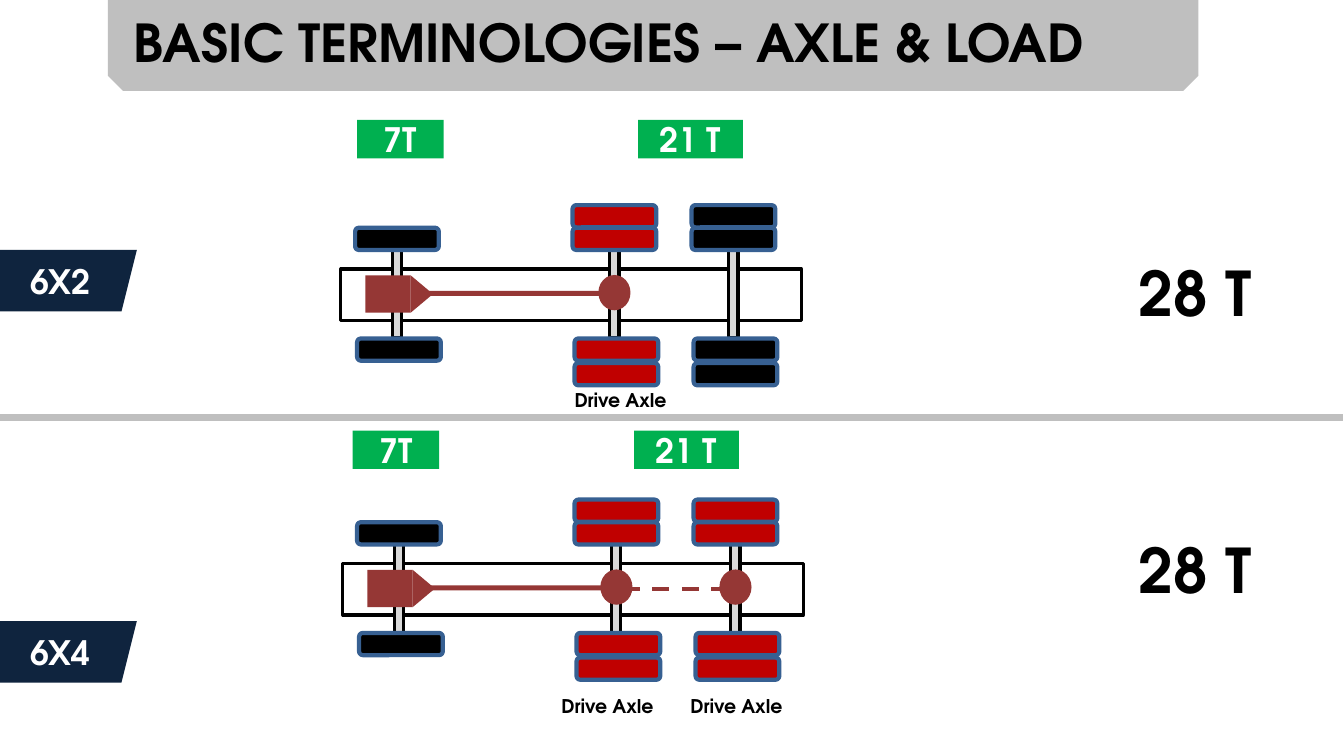
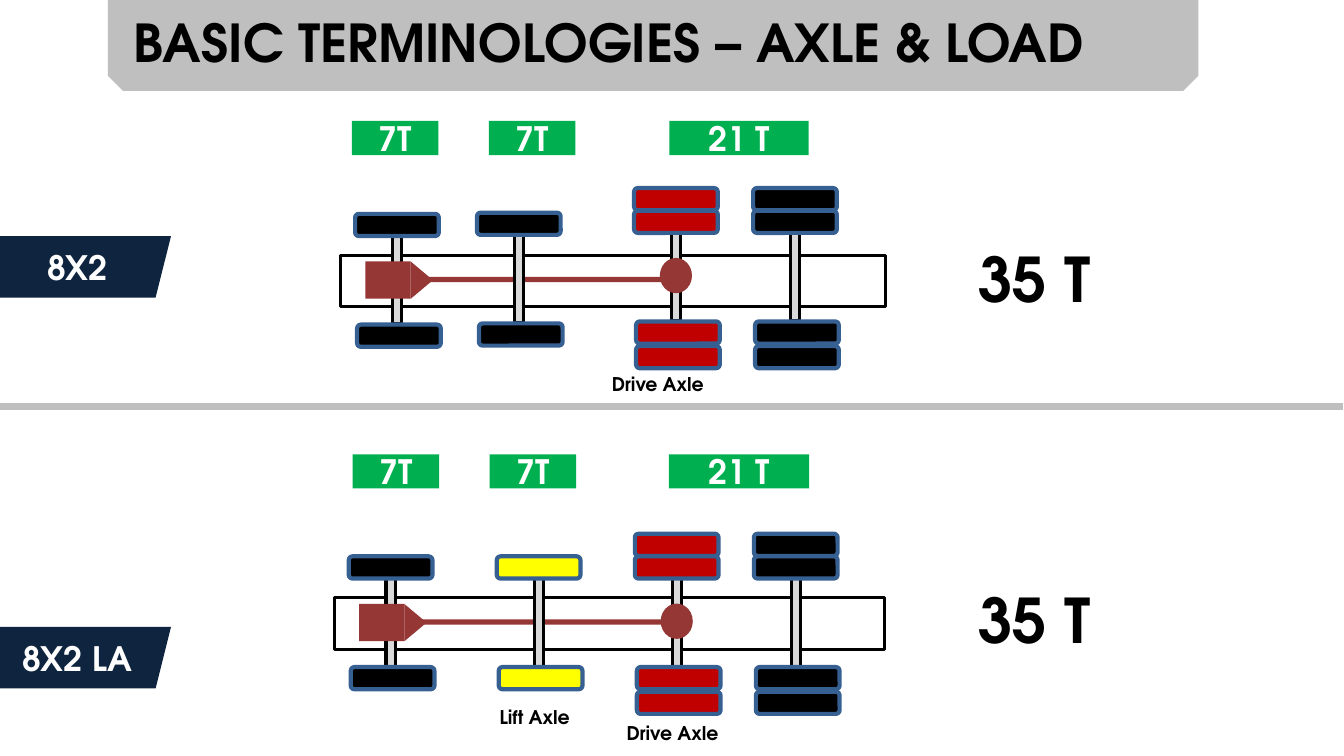
from dataclasses import dataclass

from lxml import etree
from pptx import Presentation
from pptx.dml.color import RGBColor
from pptx.enum.dml import MSO_LINE
from pptx.enum.shapes import MSO_CONNECTOR, MSO_SHAPE
from pptx.enum.text import MSO_ANCHOR, MSO_AUTO_SIZE, PP_ALIGN
from pptx.oxml.ns import qn
from pptx.util import Cm, Pt

RECTANGLE = MSO_SHAPE.RECTANGLE
ROUNDED = MSO_SHAPE.ROUNDED_RECTANGLE
PARALLELOGRAM = MSO_SHAPE.PARALLELOGRAM
TRIANGLE = MSO_SHAPE.ISOSCELES_TRIANGLE
OVAL = MSO_SHAPE.OVAL
SNIPPED = MSO_SHAPE.SNIP_2_SAME_RECTANGLE
STRAIGHT = MSO_CONNECTOR.STRAIGHT
DASH = MSO_LINE.DASH
CENTER = PP_ALIGN.CENTER
LEFT = PP_ALIGN.LEFT
MIDDLE = MSO_ANCHOR.MIDDLE
FIT_SHAPE = MSO_AUTO_SIZE.SHAPE_TO_FIT_TEXT

FONT = "TeX Gyre Adventor"
COLORS = {
    "black": "000000",
    "white": "FFFFFF",
    "band": "BFBFBF",
    "badge": "0F243E",
    "load": "00B050",
    "axle": "D9D9D9",
    "driveline": "953735",
    "wheel_edge": "376092",
    "driven": "C00000",
    "lift": "FFFF00",
}

SLIDE_WIDTH, SLIDE_HEIGHT = 33.87, 19.05
TITLE = "BASIC TERMINOLOGIES – AXLE & LOAD"
AXLE_WIDTH, AXLE_HEIGHT = 0.23, 2.21
WHEEL_WIDTH, WHEEL_HEIGHT = 2.11, 0.56
HUB_WIDTH, HUB_HEIGHT = 0.81, 0.89
CHASSIS_HEIGHT = 1.3
FRONT_AXLE = 1.3
REAR_SPACING = 3
SHAFT_START = 2.21


@dataclass
class Axle:
    """An axle at a distance from the chassis front, moved down by shift."""
    left: float
    wheels: str = "black"
    twin: bool = False
    shift: float = 0

    @property
    def driven(self):
        return self.wheels == "driven"


@dataclass
class Truck:
    """One truck layout; lengths are cm, offsets start at the chassis corner."""
    name: str
    total: str
    left: float
    top: float
    width: float
    axles: list
    loads: list
    load_top: float
    load_height: float
    badge_top: float
    total_top: float
    captions: list


@dataclass
class Page:
    badge_width: float
    total_left: float
    divider_top: float
    trucks: list


def rear_pair(left, second="black", shift=0):
    return [Axle(left, "driven", True, shift),
            Axle(left + REAR_SPACING, second, True, shift)]


PAGES = [
    Page(3.86, 28.45, 10.39, [
        Truck("6X2", "28 T", 8.59, 6.78, 11.61,
              [Axle(FRONT_AXLE), *rear_pair(6.78)],
              [("7T", 0.41, 2.18), ("21 T", 7.49, 2.64)], -3.76, 0.97,
              -0.48, -0.48, [("Drive Axle", 5.64, 2.9, 2.9)]),
        Truck("6X4", "28 T", 8.64, 14.2, 11.61,
              [Axle(FRONT_AXLE), *rear_pair(6.78, "driven")],
              [("7T", 0.25, 2.18), ("21 T", 7.34, 2.64)], -3.35, 0.97,
              1.45, -0.91, [("Drive Axle", 5.26, 3.18, 2.9),
                            ("Drive Axle", 8.51, 3.18, 2.9)]),
    ]),
    Page(4.72, 24.41, 10.11, [
        Truck("8X2", "35 T", 8.59, 6.43, 13.72,
              [Axle(FRONT_AXLE), Axle(4.37, shift=-0.03),
               *rear_pair(8.33, shift=-0.08)],
              [("7T", 0.28, 2.18), ("7T", 3.73, 2.18), ("21 T", 8.28, 3.51)],
              -3.38, 0.86, -0.48, -0.48, [("Drive Axle", 6.58, 2.84, 2.9)]),
        Truck("8X2 LA", "35 T", 8.43, 15.06, 13.87,
              [Axle(FRONT_AXLE), Axle(5.03, "lift"), *rear_pair(8.51)],
              [("7T", 0.46, 2.18), ("7T", 3.91, 2.18), ("21 T", 8.43, 3.53)],
              -3.61, 0.86, 0.74, -0.51, [("Lift Axle", 3.91, 2.59, 2.31),
                                         ("Drive Axle", 7.11, 3, 2.9)]),
    ]),
]


def color(name):
    return RGBColor.from_string(COLORS[name])


def write(shape, text, size, ink="black", align=LEFT, anchor=None, wrap=False):
    frame = shape.text_frame
    frame.word_wrap = wrap
    if anchor is not None:
        frame.vertical_anchor = anchor
    paragraph = frame.paragraphs[0]
    paragraph.alignment = align
    run = paragraph.add_run()
    run.text = text
    run.font.name = FONT
    run.font.size = Pt(size)
    run.font.bold = True
    run.font.color.rgb = color(ink)


def add_box(slide, kind, left, top, width, height, fill=None, line=None, weight=2.25):
    shape = slide.shapes.add_shape(kind, Cm(left), Cm(top), Cm(width), Cm(height))
    shape.shadow.inherit = False
    if fill:
        shape.fill.solid()
        shape.fill.fore_color.rgb = color(fill)
    else:
        shape.fill.background()
    if line:
        shape.line.color.rgb = color(line)
        shape.line.width = Pt(weight)
    else:
        shape.line.fill.background()
    return shape


def add_label(slide, text, left, top, width, height, **text_format):
    box = slide.shapes.add_textbox(Cm(left), Cm(top), Cm(width), Cm(height))
    write(box, text, **text_format)
    box.text_frame.auto_size = FIT_SHAPE


def add_tag(slide, kind, text, left, top, width, height, fill):
    tag = add_box(slide, kind, left, top, width, height, fill)
    write(tag, text, 24, ink="white", align=CENTER, anchor=MIDDLE)


def draw_title(slide):
    band = add_box(slide, SNIPPED, 2.72, 0, 27.48, 2.29, "band")
    band.rotation = 180
    add_label(slide, TITLE, 3.12, 0.13, 29.06, 1.85, size=37.3, wrap=True)


def draw_axle(slide, left, top, axle):
    """Draw the beam, the wheels on both sides and the hub of a driven axle."""
    left += axle.left
    top += axle.shift
    add_box(slide, RECTANGLE, left, top - 0.48, AXLE_WIDTH, AXLE_HEIGHT,
            "axle", "black")
    wheels = [(-0.94, -1.04), (-0.89, 1.75)]
    if axle.twin:
        wheels += [(-0.94, -1.61), (-0.89, 2.37)]
    for across, down in wheels:
        add_box(slide, ROUNDED, left + across, top + down, WHEEL_WIDTH,
                WHEEL_HEIGHT, axle.wheels, "wheel_edge", 3)
    if axle.driven:
        add_box(slide, OVAL, left - 0.29, top + 0.15, HUB_WIDTH, HUB_HEIGHT,
                "driveline")


def draw_engine(slide, left, top):
    add_box(slide, RECTANGLE, left + 0.62, top + 0.16, 1.14, 0.94, "driveline")
    nose = add_box(slide, TRIANGLE, left + 1.57, top + 0.35, 0.94, 0.56, "driveline")
    nose.rotation = 90


def draw_dashed_link(slide, start, end, height):
    link = slide.shapes.add_connector(STRAIGHT, Cm(start), Cm(height),
                                      Cm(end), Cm(height))
    link.line.color.rgb = color("driveline")
    link.line.width = Pt(3)
    link.line.dash_style = DASH
    etree.SubElement(link._element.spPr, qn("a:effectLst"))


def draw_chassis(slide, truck):
    left, top = truck.left, truck.top
    add_box(slide, RECTANGLE, left, top, truck.width, CHASSIS_HEIGHT, line="black")
    front, *others = truck.axles
    draw_axle(slide, left, top, front)
    draw_engine(slide, left, top)
    driven = [axle for axle in others if axle.driven]
    add_box(slide, RECTANGLE, left + SHAFT_START, top + 0.55,
            driven[0].left - SHAFT_START + 0.1, 0.13, "driveline")
    for axle in others:
        draw_axle(slide, left, top, axle)
    for first, second in zip(driven, driven[1:]):
        draw_dashed_link(slide, left + first.left + 0.28,
                         left + second.left + 0.15, top + 0.64)


def draw_truck(slide, page, truck):
    left, top = truck.left, truck.top
    add_tag(slide, PARALLELOGRAM, truck.name, -0.41, top + truck.badge_top,
            page.badge_width, 1.55, "badge")
    draw_chassis(slide, truck)
    for text, across, width in truck.loads:
        add_tag(slide, RECTANGLE, text, left + across, top + truck.load_top,
                width, truck.load_height, "load")
    for text, across, down, width in truck.captions:
        add_label(slide, text, left + across, top + down, width, 0.84, size=13.5)
    add_label(slide, truck.total, page.total_left, top + truck.total_top,
              3.35, 2.13, size=44)


def build_slide(presentation, page):
    slide = presentation.slides.add_slide(presentation.slide_layouts[6])
    for truck in page.trucks:
        draw_truck(slide, page, truck)
    draw_title(slide)
    add_box(slide, RECTANGLE, -0.1, page.divider_top, SLIDE_WIDTH + 0.1, 0.25,
            "band", "white", 2)


def main():
    presentation = Presentation()
    presentation.slide_width = Cm(SLIDE_WIDTH)
    presentation.slide_height = Cm(SLIDE_HEIGHT)
    for page in PAGES:
        build_slide(presentation, page)
    presentation.save("out.pptx")


if __name__ == "__main__":
    main()
